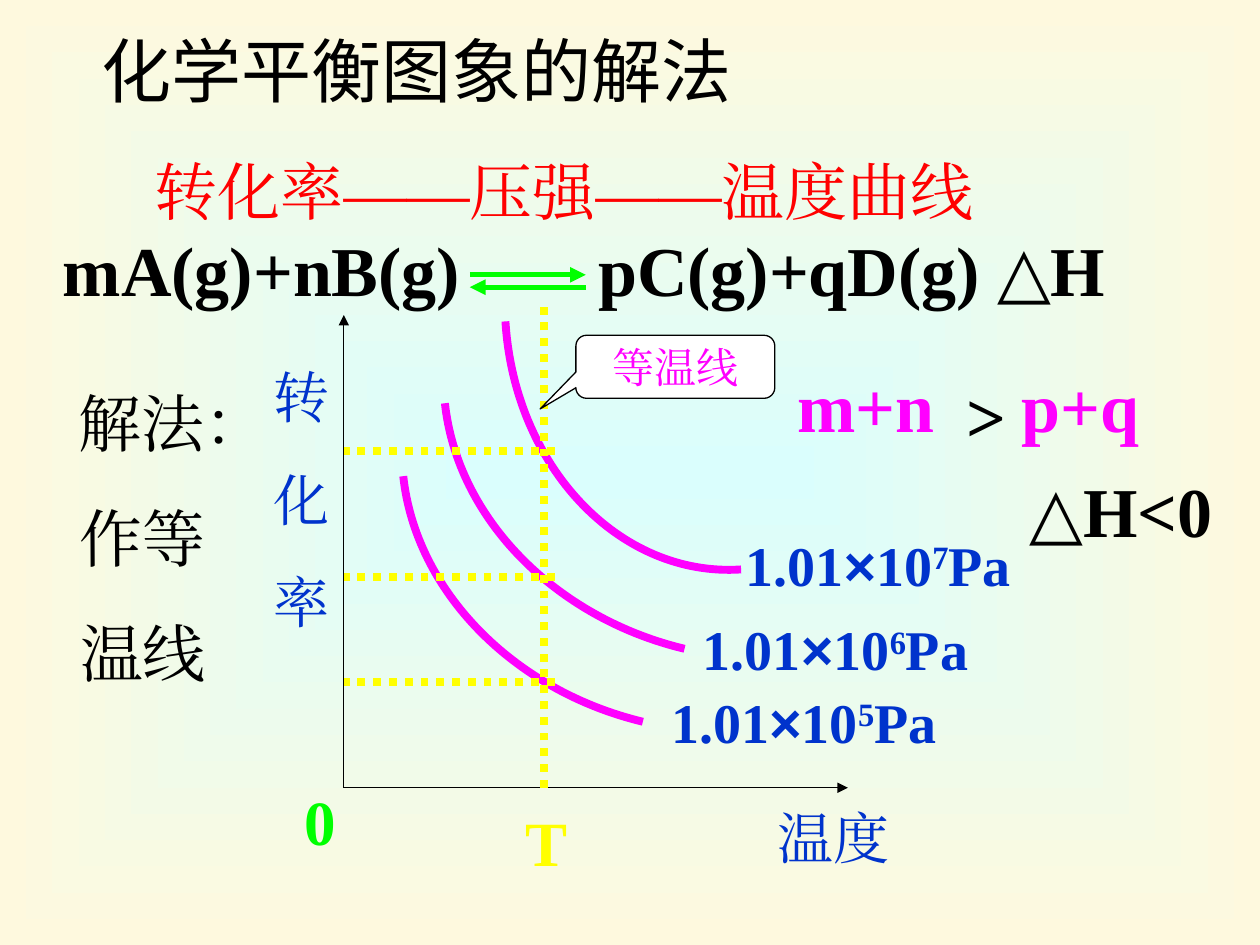
import pptx
import pptx.dml.color
import pptx.enum.dml
import pptx.enum.shapes
import pptx.enum.text
import pptx.oxml
import pptx.oxml.ns
import pptx.util

Cm, Pt = pptx.util.Cm, pptx.util.Pt
RGBColor = pptx.dml.color.RGBColor
qn = pptx.oxml.ns.qn

BLACK = RGBColor(0x00, 0x00, 0x00)
WHITE = RGBColor(0xFF, 0xFF, 0xFF)
RED = RGBColor(0xFF, 0x00, 0x00)
BLUE = RGBColor(0x00, 0x33, 0xCC)
GREEN = RGBColor(0x00, 0xFF, 0x00)
YELLOW = RGBColor(0xFF, 0xFF, 0x00)
MAGENTA = RGBColor(0xFF, 0x00, 0xFF)
PALE_CYAN = RGBColor(0xDA, 0xFE, 0xFD)
CREAM = RGBColor(0xFE, 0xF9, 0xDE)

SERIF = "Times New Roman"
SANS = "Noto Sans CJK SC"


def add_element(parent, tag, **attributes):
    child = parent.makeelement(qn(tag), attributes)
    parent.append(child)
    return child


def paint_background(page):
    fill = page.background.fill
    fill.gradient()
    for stop, color, position in zip(fill.gradient_stops, (PALE_CYAN, CREAM), (0, 1)):
        stop.color.rgb = color
        stop.position = position
    gradient = page.element.find(".//" + qn("a:gradFill"))
    gradient.remove(gradient.find(qn("a:lin")))
    rings = add_element(gradient, "a:path", path="rect")
    add_element(rings, "a:fillToRect", l="50000", t="50000", r="50000", b="50000")


def write_text(frame, paragraphs, size, color, bold=False, font=SERIF,
               space=0, align=None, wrap=True):
    """Each paragraph is a string or a list of (text, font, baseline) spans."""
    frame.word_wrap = wrap
    for index, content in enumerate(paragraphs):
        para = frame.add_paragraph() if index else frame.paragraphs[0]
        para.alignment = align
        para.space_before = Pt(space if index else 0)
        spans = [(content, font, 0)] if isinstance(content, str) else content
        for text, face, baseline in spans:
            span = para.add_run()
            span.text = text
            span.font.size = Pt(size)
            span.font.bold = bold
            span.font.color.rgb = color
            span.font.name = face
            properties = span.font._element
            add_element(properties, "a:ea", typeface=face)
            if baseline:
                properties.set("baseline", str(baseline))


def add_text(page, paragraphs, left, top, width, height, rotation=0, **style):
    box = page.shapes.add_textbox(Cm(left), Cm(top), Cm(width), Cm(height))
    box.rotation = rotation
    box.text_frame.auto_size = pptx.enum.text.MSO_AUTO_SIZE.SHAPE_TO_FIT_TEXT
    write_text(box.text_frame, paragraphs, **style)


def add_line(page, start, end, color, width, arrow=False, dotted=False):
    line = page.shapes.add_connector(
        pptx.enum.shapes.MSO_CONNECTOR.STRAIGHT, *map(Cm, start + end))
    line.line.color.rgb = color
    line.line.width = Pt(width)
    if dotted:
        line.line.dash_style = pptx.enum.dml.MSO_LINE.ROUND_DOT
    properties = line._element.spPr
    if arrow:
        add_element(properties.find(qn("a:ln")), "a:tailEnd", type="triangle")
    add_element(properties, "a:effectLst")


def add_curve(page, start, offsets):
    """Draw one Bézier curve; offsets are its control points and end from start."""
    x, y = start
    builder = page.shapes.build_freeform(Cm(x), Cm(y))
    builder.add_line_segments([(Cm(x + dx), Cm(y + dy)) for dx, dy in offsets],
                              close=False)
    curve = builder.convert_to_shape()
    curve.shadow.inherit = False
    curve.fill.background()
    curve.line.color.rgb = MAGENTA
    curve.line.width = Pt(4.5)
    # Turn the three line segments into one cubic segment
    segments = list(curve._element.iter(qn("a:lnTo")))
    outline = segments[0].getparent()
    cubic = add_element(outline, "a:cubicBezTo")
    for segment in segments:
        cubic.append(segment[0])
        outline.remove(segment)


def add_callout(page, text, left, top, width, height):
    callout = page.shapes.add_shape(
        pptx.enum.shapes.MSO_SHAPE.ROUNDED_RECTANGULAR_CALLOUT,
        Cm(left), Cm(top), Cm(width), Cm(height))
    for index, value in enumerate((-0.68, 0.67, 0.17)):
        callout.adjustments[index] = value
    callout.shadow.inherit = False
    callout.fill.solid()
    callout.fill.fore_color.rgb = WHITE
    callout.line.color.rgb = BLACK
    callout.line.width = Pt(0.75)
    callout.text_frame.vertical_anchor = pptx.enum.text.MSO_ANCHOR.MIDDLE
    write_text(callout.text_frame, [text], size=24, color=MAGENTA, wrap=False,
               align=pptx.enum.text.PP_ALIGN.CENTER)


def add_axes(page):
    origin = (6.93, 15.88)
    for end in ((6.93, 6.35), (17.09, 15.88)):
        add_line(page, origin, end, BLACK, 0.75, arrow=True)
    add_text(page, ["转", "化", "率"], 5.26, 7.19, 1.7, 5.74,
             size=32, color=BLUE, space=20)
    add_text(page, ["温度"], 15.42, 16.08, 2.77, 1.63, size=32, color=BLUE, wrap=False)
    add_text(page, ["0"], 5.89, 15.65, 1.14, 1.78,
             size=36, color=GREEN, bold=True, wrap=False)


def add_isobars(page):
    lower = ((0.25, 2.31), (2.21, 4.32), (4.83, 4.95))
    upper = ((0.18, 2.92), (2.29, 5.16), (4.75, 5.0))
    isobars = (
        ("7", (10.19, 6.48), upper, (14.78, 10.57)),
        ("6", (8.97, 8.13), lower, (13.92, 12.27)),
        ("5", (8.13, 9.6), lower, (13.28, 13.74)),
    )
    for exponent, start, offsets, label in isobars:
        add_curve(page, start, offsets)
        spans = [("1.01", SERIF, 0), ("×", "Arial", 0), ("10", SERIF, 0),
                 (exponent, SERIF, 30000), ("Pa", SERIF, 0)]
        add_text(page, [spans], *label, 6.55, 1.63, size=32, color=BLUE, bold=True)


def add_isotherm(page):
    for y in (13.74, 11.63, 9.09):
        add_line(page, (11.18, y), (6.93, y), YELLOW, 4.5, dotted=True)
    add_text(page, ["T"], 10.34, 16.08, 1.47, 1.78, size=36, color=YELLOW, bold=True)
    add_line(page, (10.97, 15.88), (10.97, 6.12), YELLOW, 4.5, dotted=True)


def add_equation(page):
    for text, left, width in (("mA(g)+nB(g)", 1.02, 8.6),
                              ("pC(g)+qD(g) △H", 11.81, 12.05)):
        add_text(page, [text], left, 4.45, width, 1.96, size=40, color=BLACK, bold=True)
    for start, end in (((9.47, 5.54), (11.81, 5.54)), ((11.81, 5.79), (9.47, 5.79))):
        add_line(page, start, end, GREEN, 3, arrow=True)


def add_conclusions(page):
    for text, left, top, width, color in (
            ("m+n", 15.82, 7.19, 3.4, MAGENTA),
            ("p+q", 20.35, 7.19, 3.5, MAGENTA),
            (">", 19.23, 7.39, 1.3, BLACK),
            ("△H<0", 20.5, 9.3, 4.88, BLACK)):
        add_text(page, [text], left, top, width, 1.96,
                 size=40, color=color, bold=True, wrap=False)


def main():
    deck = pptx.Presentation()
    deck.slide_width, deck.slide_height = Cm(25.4), Cm(19.05)
    page = deck.slides.add_slide(deck.slide_layouts[6])
    paint_background(page)

    # Diagram
    add_axes(page)
    add_isobars(page)

    # Headings and method
    add_text(page, ["化学平衡图象的解法"], 1.8, 0.43, 16.31, 1.96,
             size=40, color=BLACK, font=SANS)
    add_text(page, ["转化率——压强——温度曲线"], 2.87, 2.95, 19.1, 1.78,
             size=36, color=RED)
    add_text(page, ["解法：", "作等", "温线"], 1.35, 7.62, 3.35, 6.43,
             rotation=359.7, size=36, color=BLACK, space=22.5)

    # Reading the diagram
    add_isotherm(page)
    add_equation(page)
    add_conclusions(page)
    add_callout(page, "等温线", 11.61, 6.76, 4.01, 1.27)

    deck.save("out.pptx")


if __name__ == "__main__":
    main()
